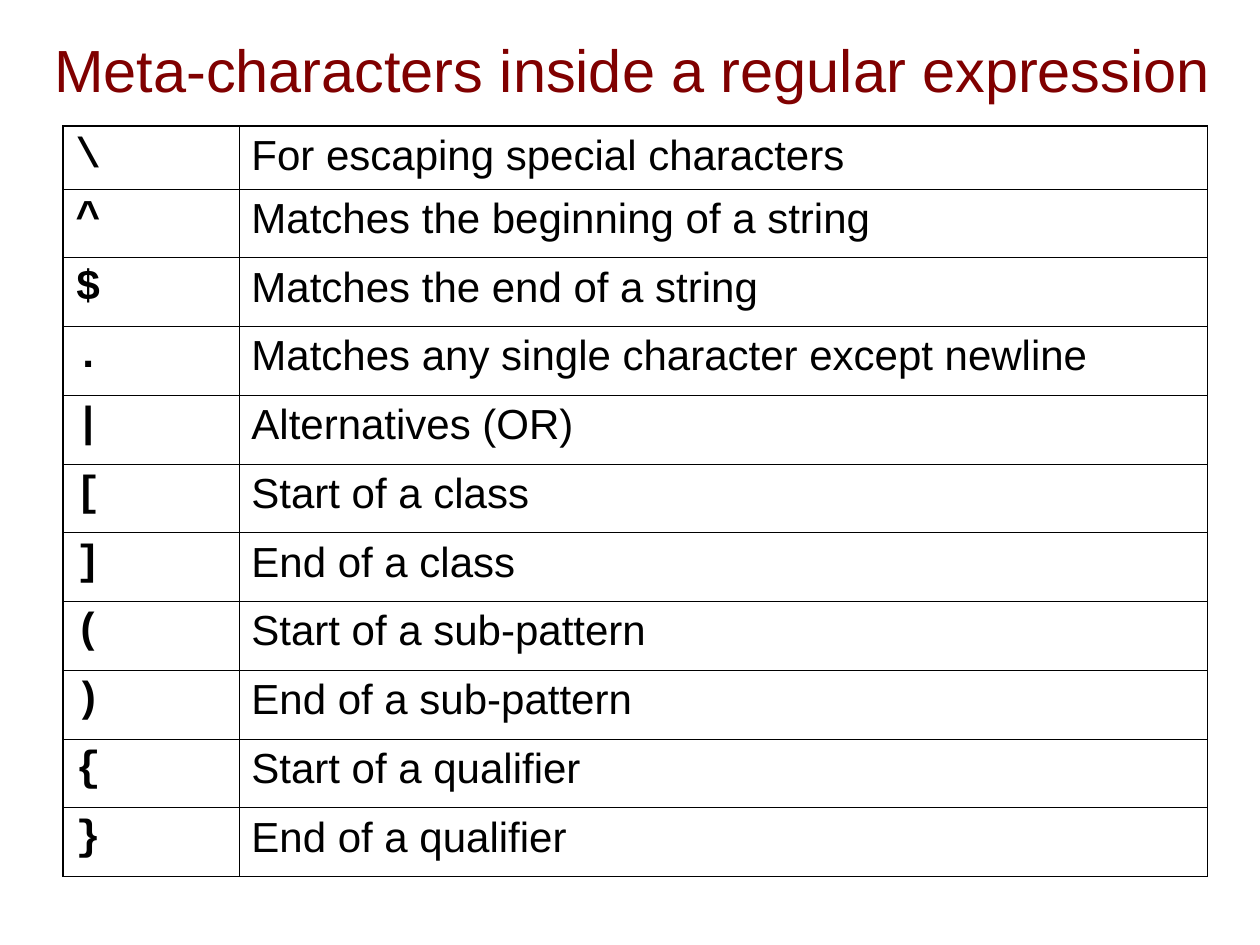
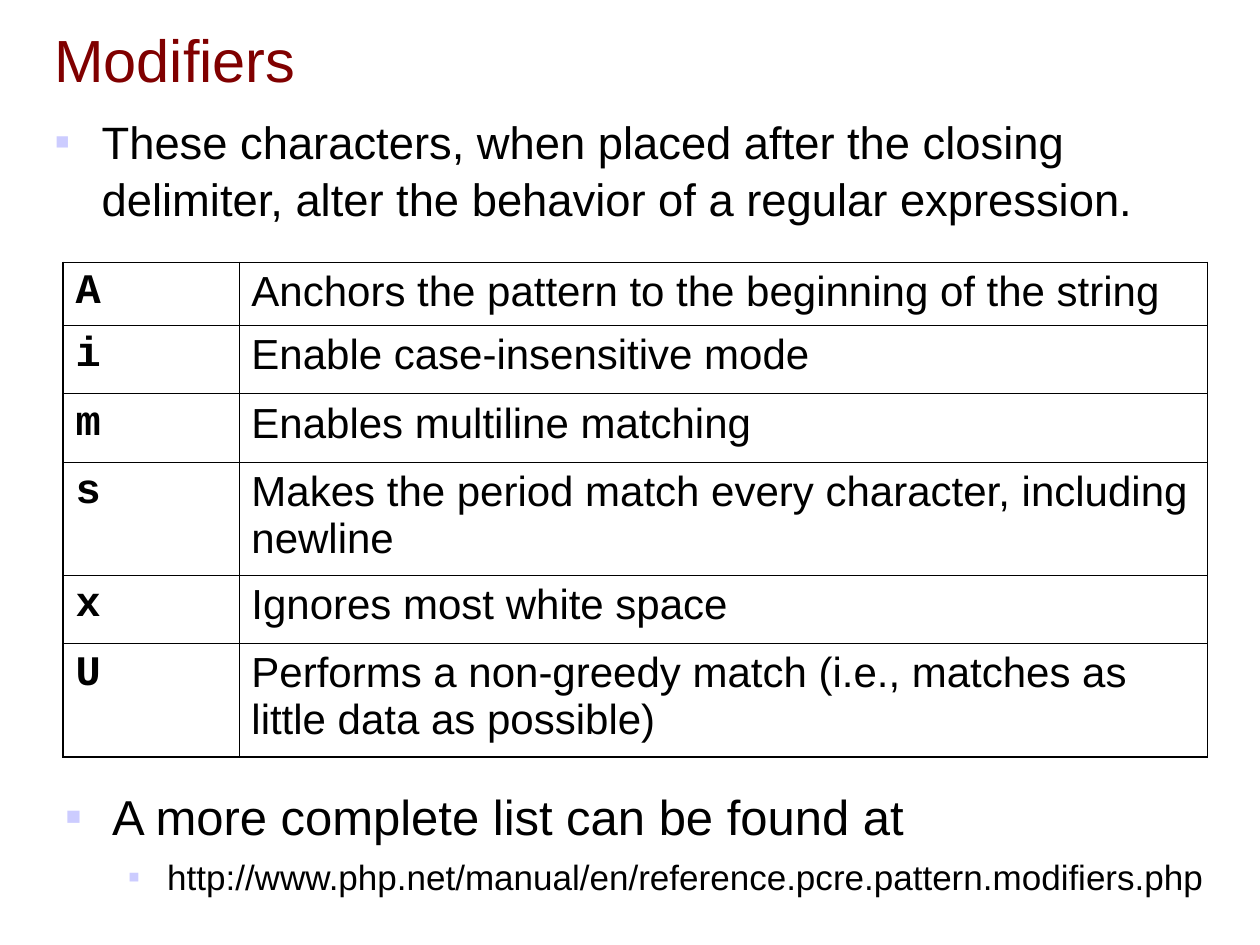
from lxml import etree
from pptx import Presentation
from pptx.dml.color import RGBColor
from pptx.enum.text import MSO_ANCHOR
from pptx.oxml.ns import qn
from pptx.util import Pt

MIDDLE = MSO_ANCHOR.MIDDLE
MAROON, BLACK, LILAC = "800000", "000000", "CCCCFF"
SANS, MONO = "Arial", "Courier New"
OUTER_LINE, INNER_LINE = 1.08, 0.45
LEFT, WIDTH = 24, 678
TABLE_LEFT, SYMBOL_WIDTH, MEANING_WIDTH = 36, 100.5, 553.5
FIRST_ROW = 36
BULLET_LEVELS = [(27, 27, 7), (58.5, 22.5, 5)]

META_CHARACTERS = [
    ("\\", "For escaping special characters"),
    ("^", "Matches the beginning of a string"),
    ("$", "Matches the end of a string"),
    (".", "Matches any single character except newline"),
    ("|", "Alternatives (OR)"),
    ("[", "Start of a class"),
    ("]", "End of a class"),
    ("(", "Start of a sub-pattern"),
    (")", "End of a sub-pattern"),
    ("{", "Start of a qualifier"),
    ("}", "End of a qualifier"),
]
MODIFIERS = [
    ("A", "Anchors the pattern to the beginning of the string"),
    ("i", "Enable case-insensitive mode"),
    ("m", "Enables multiline matching"),
    ("s", "Makes the period match every character, including newline"),
    ("x", "Ignores most white space"),
    ("U", "Performs a non-greedy match (i.e., matches as little data as possible)"),
]


def rgb(value):
    """Return the colour for a hex string."""
    return RGBColor.from_string(value)


def style(paragraph, size, color=BLACK, face=SANS, bold=False):
    """Format every run of a paragraph."""
    for run in paragraph.runs:
        run.font.size = Pt(size)
        run.font.name = face
        run.font.bold = bold
        run.font.color.rgb = rgb(color)


def add_frame(slide, left, top, width, height):
    """Add a wrapping text box and return its text frame."""
    frame = slide.shapes.add_textbox(Pt(left), Pt(top), Pt(width), Pt(height)).text_frame
    frame.word_wrap = True
    return frame


def add_title(slide, heading, height):
    """Place the slide heading in the top band."""
    frame = add_frame(slide, LEFT, 13, WIDTH, height)
    frame.vertical_anchor = MIDDLE
    frame.text = heading
    style(frame.paragraphs[0], 34, MAROON)


def add_bullet(paragraph, level):
    """Give a paragraph its square bullet, indent and spacing."""
    margin, hang, space = BULLET_LEVELS[level]
    paragraph.level = level
    paragraph.space_before = Pt(space)
    paragraph.line_spacing = 1.05
    properties = paragraph._p.get_or_add_pPr()
    properties.set("marL", str(Pt(margin)))
    properties.set("indent", str(-Pt(hang)))
    color = etree.SubElement(properties, qn("a:buClr"))
    etree.SubElement(color, qn("a:srgbClr"), val=LILAC)
    etree.SubElement(properties, qn("a:buFont"), typeface=SANS)
    etree.SubElement(properties, qn("a:buChar"), char="▪")


def add_points(slide, left, top, width, height, points):
    """Place bulleted points, each given as text, size and level."""
    frame = add_frame(slide, left, top, width, height)
    frame.text = "\n".join(text for text, _, _ in points)
    for paragraph, (_, size, level) in zip(frame.paragraphs, points):
        style(paragraph, size)
        add_bullet(paragraph, level)


def set_borders(cell, outer_sides):
    """Rule a cell on four sides, heavier along the table edge."""
    properties = cell._tc.get_or_add_tcPr()
    for side in "LRTB":
        weight = OUTER_LINE if side in outer_sides else INNER_LINE
        line = etree.SubElement(properties, qn(f"a:ln{side}"), w=str(Pt(weight)))
        fill = etree.SubElement(line, qn("a:solidFill"))
        etree.SubElement(fill, qn("a:srgbClr"), val=BLACK)


def add_glossary(slide, left, top, entries, row_heights):
    """Place a table of symbols and their meanings."""
    table = slide.shapes.add_table(
        len(entries), 2, Pt(left), Pt(top),
        Pt(SYMBOL_WIDTH + MEANING_WIDTH), Pt(sum(row_heights))).table
    table.first_row = table.horz_banding = False
    table.columns[0].width = Pt(SYMBOL_WIDTH)
    table.columns[1].width = Pt(MEANING_WIDTH)
    last = len(entries) - 1
    for index, (entry, height) in enumerate(zip(entries, row_heights)):
        table.rows[index].height = Pt(height)
        edges = ("T" if index == 0 else "") + ("B" if index == last else "")
        for column, (text, side, face) in enumerate(zip(entry, "LR", (MONO, SANS))):
            cell = table.cell(index, column)
            cell.text_frame.text = text
            paragraph = cell.text_frame.paragraphs[0]
            paragraph.space_before = Pt(6)
            style(paragraph, 24, face=face, bold=face == MONO)
            set_borders(cell, edges + side)
            cell.fill.background()


def build_meta_characters(slide):
    """Build the slide listing the meta-characters."""
    add_title(slide, "Meta-characters inside a regular expression", 53)
    row_heights = [FIRST_ROW] + [39.3] * (len(META_CHARACTERS) - 1)
    add_glossary(slide, TABLE_LEFT, 72, META_CHARACTERS, row_heights)


def build_modifiers(slide):
    """Build the slide explaining the pattern modifiers."""
    add_title(slide, "Modifiers", 41)
    add_points(slide, LEFT, 60, WIDTH, 78, [
        ("These characters, when placed after the closing delimiter, "
         "alter the behavior of a regular expression.", 25.9, 0)])
    one_line, two_lines = 39, 64.8
    add_glossary(slide, TABLE_LEFT, 150, MODIFIERS,
                 [FIRST_ROW, one_line, one_line, two_lines, one_line, two_lines])
    add_points(slide, 30, 444, WIDTH, 78, [
        ("A more complete list can be found at", 28, 0),
        ("http://www.php.net/manual/en/reference.pcre.pattern.modifiers.php", 20, 1)])


def main():
    """Build and save the presentation."""
    deck = Presentation()
    deck.slide_width, deck.slide_height = Pt(720), Pt(540)
    blank = deck.slide_layouts[6]
    for build in (build_meta_characters, build_modifiers):
        build(deck.slides.add_slide(blank))
    deck.save("out.pptx")


main()
